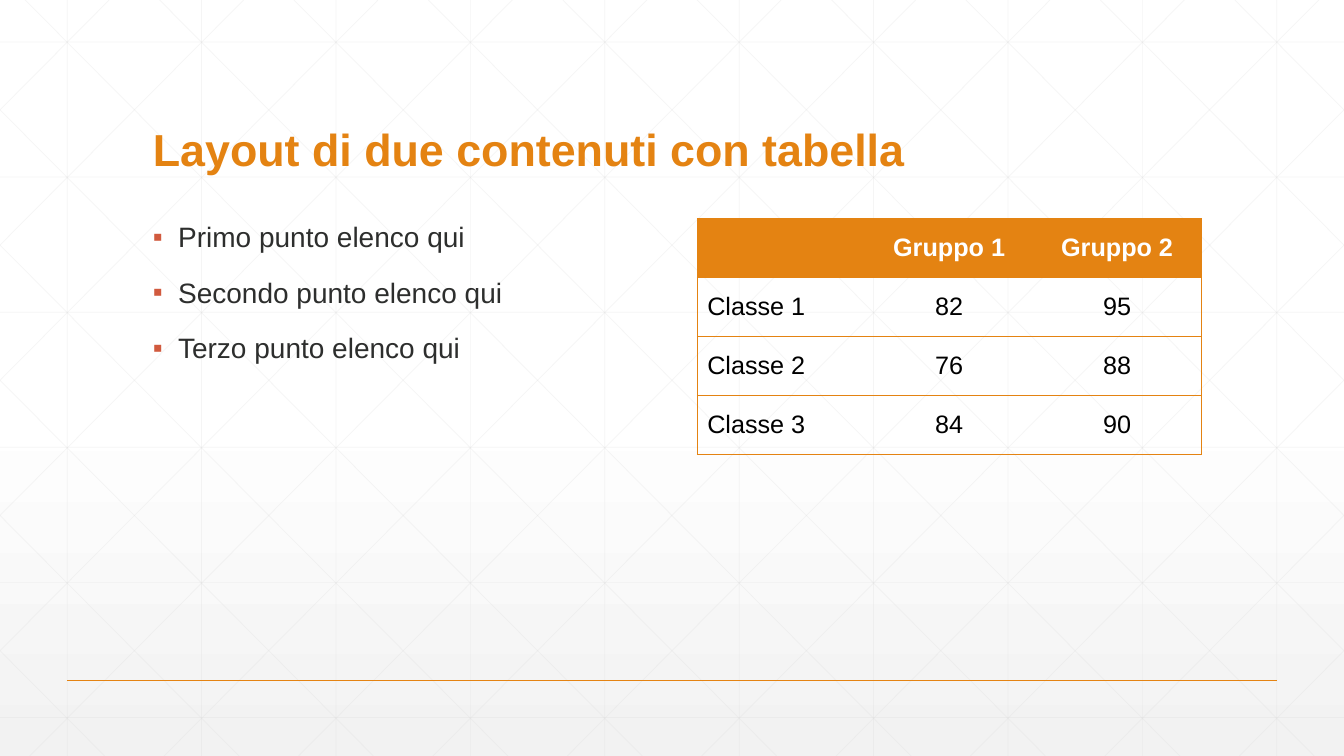
import pptx
import pptx.dml.color
import pptx.enum.shapes
import pptx.enum.text
import pptx.oxml
import pptx.oxml.ns
import pptx.util
from lxml import etree

Pt = pptx.util.Pt
qn = pptx.oxml.ns.qn
ALIGN = pptx.enum.text.PP_ALIGN
ANCHOR = pptx.enum.text.MSO_ANCHOR

TITLE = "Layout di due contenuti con tabella"
POINTS = ["Primo punto elenco qui", "Secondo punto elenco qui",
          "Terzo punto elenco qui"]
TABLE = [("", "Gruppo 1", "Gruppo 2"),
         ("Classe 1", "82", "95"),
         ("Classe 2", "76", "88"),
         ("Classe 3", "84", "90")]
FONT = "Arial"
ORANGE, RED, GREY = "E48312", "D15A3E", "D9D9D9"
DARK, BLACK, WHITE, PALE = "2D2E2D", "000000", "FFFFFF", "F2F2F2"
WIDTH, HEIGHT = 960, 540
STEP, SLOPE = 96, 0.994
PLAIN = "{2D5ABB26-0587-4C30-8999-92F81FD0307C}"


def rgb(code):
    return pptx.dml.color.RGBColor.from_string(code)


def style(para, size, color, bold=False):
    font = para.font
    font.name, font.size, font.bold = FONT, Pt(size), bold
    font.color.rgb = rgb(color)


def place(shape, left, top, width, height):
    shape.left, shape.top = Pt(left), Pt(top)
    shape.width, shape.height = Pt(width), Pt(height)


def rule(shapes, ends, color, weight, alpha=None):
    """Draw a straight line, with its opacity in percent."""
    line = shapes.add_connector(pptx.enum.shapes.MSO_CONNECTOR.STRAIGHT,
                                *[Pt(end) for end in ends])
    line.line.color.rgb = rgb(color)
    line.line.width = Pt(weight)
    props = line.element.spPr
    if alpha:
        tint = next(props.iter(qn("a:srgbClr")))
        etree.SubElement(tint, qn("a:alpha"), val=str(alpha * 1000))
    etree.SubElement(props, qn("a:effectLst"))


def mesh():
    """List the end points of the background grid, clipped to the slide."""
    lines = [(48 + STEP * i, 0, 48 + STEP * i, HEIGHT) for i in range(10)]
    lines += [(0, 30 + 96.5 * i, WIDTH, 30 + 96.5 * i) for i in range(6)]
    for i in range(-5, 10):
        start = 18 + STEP * i
        top = max(0, -start / SLOPE)
        foot = min(HEIGHT, (WIDTH - start) / SLOPE)
        left, right = start + SLOPE * top, start + SLOPE * foot
        lines.append((left, top, right, foot))
        lines.append((WIDTH - left, top, WIDTH - right, foot))
    return lines


def border(cell, sides):
    props = cell._tc.get_or_add_tcPr()
    for side in sides:
        edge = etree.SubElement(props, qn("a:ln" + side), w=str(Pt(0.5)))
        fill = etree.SubElement(edge, qn("a:solidFill"))
        etree.SubElement(fill, qn("a:srgbClr"), val=ORANGE)


def bullet(para):
    props = para._p.get_or_add_pPr()
    props.set("marL", str(Pt(18)))
    props.set("indent", str(Pt(-18)))
    tint = etree.SubElement(props, qn("a:buClr"))
    etree.SubElement(tint, qn("a:srgbClr"), val=RED)
    etree.SubElement(props, qn("a:buFont"), typeface=FONT)
    etree.SubElement(props, qn("a:buChar"), char="▪")


def backdrop(slide):
    fill = slide.background.fill
    fill.gradient()
    fill.gradient_angle = 270
    for stop, (spot, color) in zip(fill.gradient_stops,
                                   [(0.53, WHITE), (1, PALE)]):
        stop.position = spot
        stop.color.rgb = rgb(color)
    grid = slide.shapes.add_group_shape()
    for ends in mesh():
        rule(grid.shapes, ends, GREY, 0.5, 25)
    rule(slide.shapes, (48, 486, 912, 486), ORANGE, 1)


def words(slide):
    title, body = slide.placeholders
    place(title, 102, 39.6, 756, 90)
    place(body, 102, 156, 360, 300)
    for shape, lines in (title, [TITLE]), (body, POINTS):
        slide.shapes.element.append(shape.element)
        frame = shape.text_frame
        frame.text = "\n".join(lines)
        frame.auto_size = pptx.enum.text.MSO_AUTO_SIZE.NONE
        for para in frame.paragraphs:
            para.alignment = ALIGN.LEFT
            para.line_spacing = 0.9
            if shape is title:
                style(para, 32, ORANGE, True)
            else:
                para.space_before = Pt(18)
                bullet(para)
                style(para, 20, DARK)
    title.text_frame.vertical_anchor = ANCHOR.BOTTOM
    body.text_frame.vertical_anchor = ANCHOR.TOP


def scores(slide):
    rows, cols = len(TABLE), len(TABLE[0])
    frame = slide.shapes.add_table(rows, cols, Pt(498), Pt(156),
                                   Pt(360), Pt(42.15 * rows))
    table = frame.table
    table._tbl.tblPr.find(qn("a:tableStyleId")).text = PLAIN
    table.horz_banding = False
    for i, row in enumerate(TABLE):
        for j, text in enumerate(row):
            cell = table.cell(i, j)
            sides = ["L"] if j == 0 else ["R"] if j == cols - 1 else []
            border(cell, sides + ["T", "B"])
            if i == 0:
                cell.fill.solid()
                cell.fill.fore_color.rgb = rgb(ORANGE)
            else:
                cell.fill.background()
            cell.text = text
            cell.vertical_anchor = ANCHOR.MIDDLE
            para = cell.text_frame.paragraphs[0]
            para.alignment = ALIGN.CENTER if j else ALIGN.LEFT
            style(para, 18, BLACK if i else WHITE, i == 0)


def main():
    deck = pptx.Presentation()
    deck.slide_width, deck.slide_height = Pt(WIDTH), Pt(HEIGHT)
    slide = deck.slides.add_slide(deck.slide_layouts[1])
    backdrop(slide)
    words(slide)
    scores(slide)
    deck.save("out.pptx")


if __name__ == "__main__":
    main()
